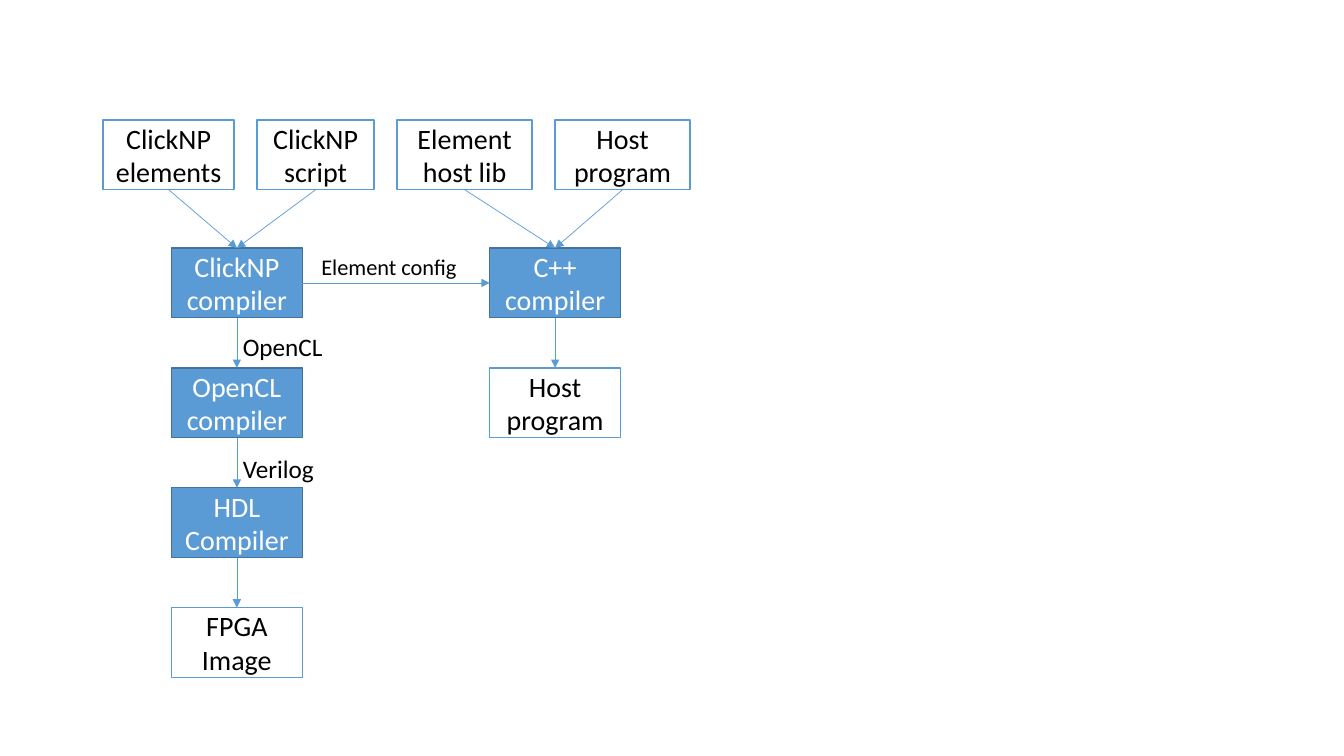
from dataclasses import dataclass

from lxml.etree import SubElement
from pptx import Presentation
from pptx.dml.color import RGBColor
from pptx.enum.shapes import MSO_CONNECTOR as Connector, MSO_SHAPE as Preset
from pptx.enum.text import MSO_ANCHOR as Anchor, MSO_AUTO_SIZE as AutoSize, PP_ALIGN as Align
from pptx.oxml.ns import qn
from pptx.shapes.autoshape import Shape
from pptx.slide import Slide
from pptx.text.text import TextFrame
from pptx.util import Cm, Pt

BLUE, DARK_BLUE, WHITE, BLACK = "5B9BD5", "43739E", "FFFFFF", "000000"
TOP, LEFT, BOTTOM, RIGHT = range(4)
BOX_HEIGHT, STAGE_WIDTH = 1.76, 3.3
INPUT_TOP, INPUT_LEFT, INPUT_GAP = 3.02, 2.6, 0.58
STAGE_TOP, STAGE_PITCH = 6.25, 3.02
FPGA_LEFT, HOST_LEFT = 4.32, 12.34


@dataclass(frozen=True)
class Node:
    text: str
    left: float
    top: float
    width: float = STAGE_WIDTH
    compiler: bool = False


@dataclass(frozen=True)
class Label:
    text: str
    left: float
    top: float
    width: float
    height: float
    size: int


@dataclass(frozen=True)
class Arrow:
    source: str
    target: str
    exit_side: int = BOTTOM
    entry_side: int = TOP


def color(value: str) -> RGBColor:
    return RGBColor.from_string(value)


def write(frame: TextFrame, text: str, size: int, ink: str, align: Align) -> None:
    frame.text = text
    para = frame.paragraphs[0]
    para.alignment = align
    font = para.runs[0].font
    font.name, font.size = "Calibri", Pt(size)
    font.color.rgb = color(ink)


def draw_node(page: Slide, node: Node) -> Shape:
    box = page.shapes.add_shape(
        Preset.RECTANGLE, Cm(node.left), Cm(node.top), Cm(node.width), Cm(BOX_HEIGHT))
    box.shadow.inherit = False
    box.fill.solid()
    box.fill.fore_color.rgb = color(BLUE if node.compiler else WHITE)
    box.line.color.rgb = color(DARK_BLUE if node.compiler else BLUE)
    box.line.width = Pt(1)
    frame = box.text_frame
    frame.word_wrap = True
    frame.vertical_anchor = Anchor.MIDDLE
    write(frame, node.text, 20, WHITE if node.compiler else BLACK, Align.CENTER)
    return box


def draw_arrow(page: Slide, arrow: Arrow, boxes: dict[str, Shape]) -> None:
    line = page.shapes.add_connector(Connector.STRAIGHT, 0, 0, 0, 0)
    line.begin_connect(boxes[arrow.source], arrow.exit_side)
    line.end_connect(boxes[arrow.target], arrow.entry_side)
    line.line.color.rgb = color(BLUE)
    line.line.width = Pt(0.5)
    SubElement(line.line._get_or_add_ln(), qn("a:tailEnd"), type="triangle")
    SubElement(line._element.spPr, qn("a:effectLst"))


def draw_label(page: Slide, label: Label) -> None:
    box = page.shapes.add_textbox(
        Cm(label.left), Cm(label.top), Cm(label.width), Cm(label.height))
    frame = box.text_frame
    frame.word_wrap = False
    frame.auto_size = AutoSize.SHAPE_TO_FIT_TEXT
    write(frame, label.text, label.size, BLACK, Align.LEFT)


def input_nodes() -> dict[str, Node]:
    nodes: dict[str, Node] = {}
    left = INPUT_LEFT
    for key, text, width in (
        ("elements", "ClickNP elements", 3.3),
        ("script", "ClickNP script", 2.95),
        ("host lib", "Element host lib", 3.4),
        ("host source", "Host program", 3.4),
    ):
        nodes[key] = Node(text, left, INPUT_TOP, width)
        left += width + INPUT_GAP
    return nodes


def stage_nodes(left: float, stages: dict[str, str]) -> dict[str, Node]:
    last = len(stages) - 1
    return {
        key: Node(text, left, STAGE_TOP + row * STAGE_PITCH, compiler=row < last)
        for row, (key, text) in enumerate(stages.items())
    }


FPGA_STAGES = {
    "ClickNP": "ClickNP compiler",
    "OpenCL": "OpenCL compiler",
    "HDL": "HDL Compiler",
    "image": "FPGA Image",
}
HOST_STAGES = {"C++": "C++ compiler", "host binary": "Host program"}

ARROWS = [
    Arrow("elements", "ClickNP"),
    Arrow("script", "ClickNP"),
    Arrow("host lib", "C++"),
    Arrow("host source", "C++"),
    Arrow("ClickNP", "C++", RIGHT, LEFT),
]
for stages in (FPGA_STAGES, HOST_STAGES):
    keys = list(stages)
    ARROWS += [Arrow(source, target) for source, target in zip(keys, keys[1:])]

LABELS = [
    Label("Element config", 7.85, 6.25, 3.96, 0.94, 16),
    Label("OpenCL", 5.87, 8.23, 2.54, 1.02, 18),
    Label("Verilog", 5.87, 11.3, 2.34, 1.02, 18),
]

deck = Presentation()
deck.slide_width, deck.slide_height = Cm(33.87), Cm(19.05)
page = deck.slides.add_slide(deck.slide_layouts[6])

nodes = input_nodes() | stage_nodes(FPGA_LEFT, FPGA_STAGES) | stage_nodes(HOST_LEFT, HOST_STAGES)
boxes = {key: draw_node(page, node) for key, node in nodes.items()}
for arrow in ARROWS:
    draw_arrow(page, arrow, boxes)
for label in LABELS:
    draw_label(page, label)

deck.save("out.pptx")
